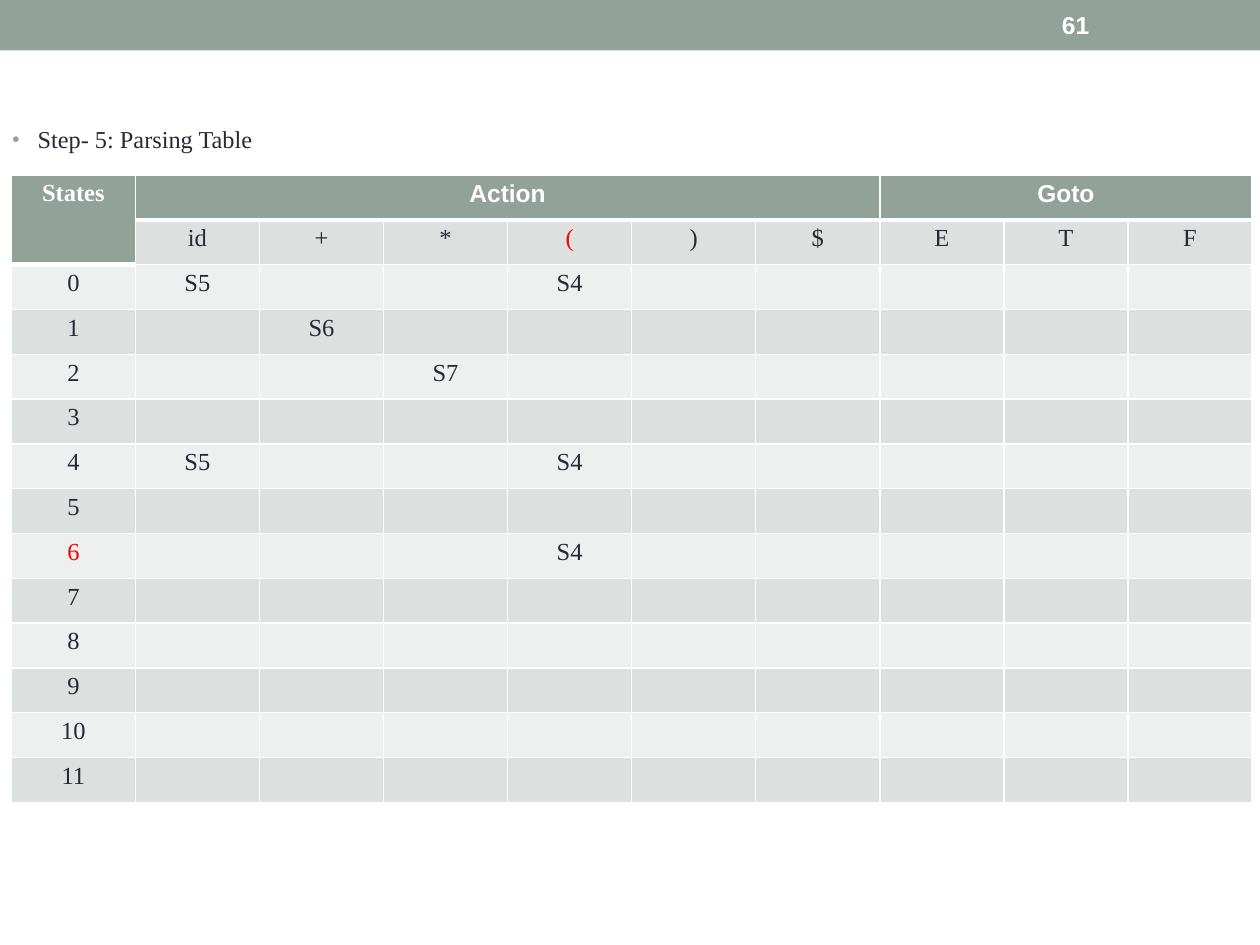
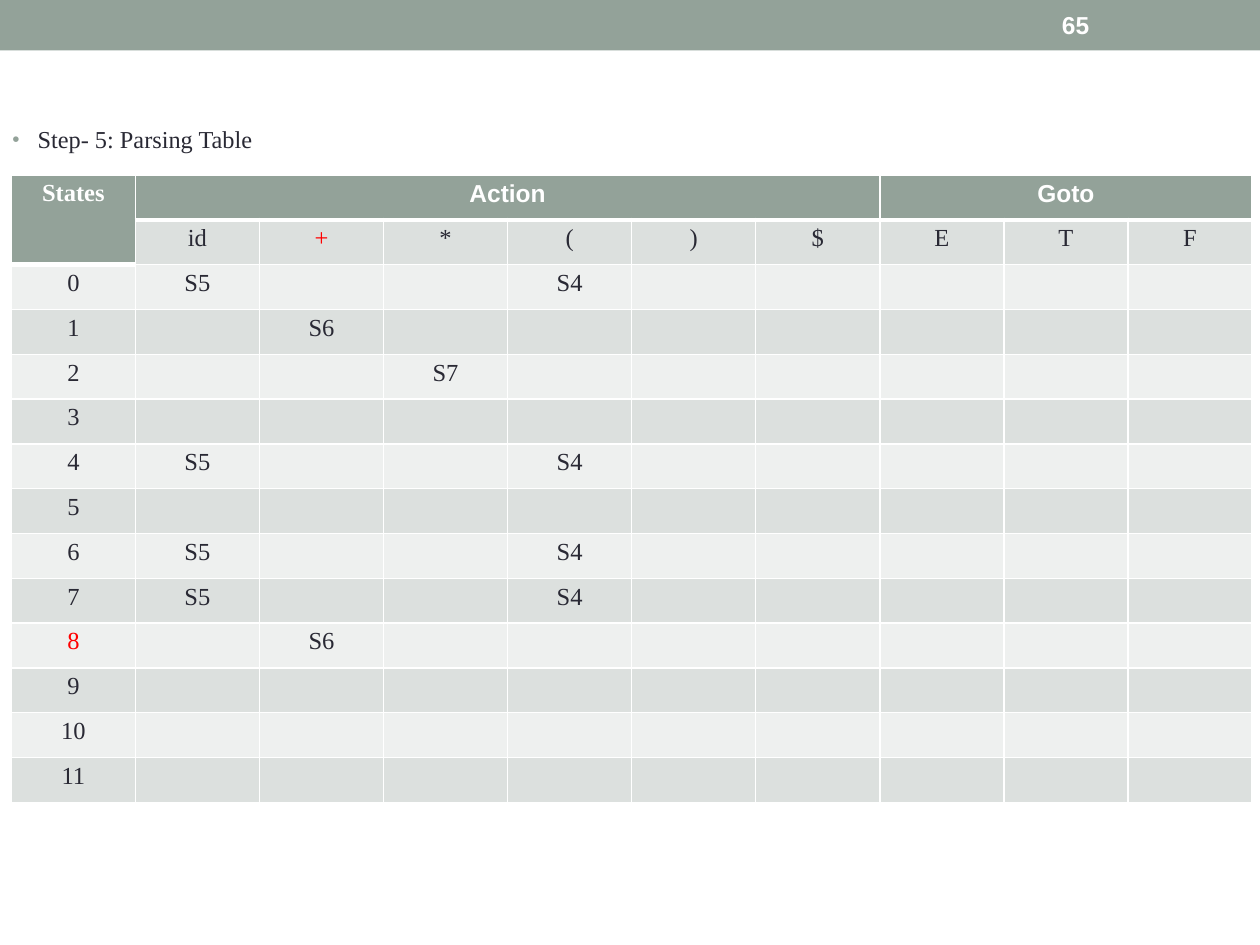
"""Builds two slides that show successive stages of a parsing table."""
import pptx
import pptx.dml.color
import pptx.enum.shapes
import pptx.enum.text
import pptx.oxml
import pptx.oxml.ns
import pptx.util

Inches = pptx.util.Inches
Pt = pptx.util.Pt
RGBColor = pptx.dml.color.RGBColor

SAGE = RGBColor(0x93, 0xA2, 0x99)
WHITE = RGBColor(0xFF, 0xFF, 0xFF)
INK = RGBColor(0x29, 0x29, 0x34)
RED = RGBColor(0xFF, 0x00, 0x00)
DARK_BAND = RGBColor(0xDC, 0xE0, 0xDE)
LIGHT_BAND = RGBColor(0xEE, 0xF0, 0xEF)

SERIF = "Times New Roman"
SANS = "Arial"
SIZE = 14
STEP = "Step- 5: Parsing Table"
SYMBOLS = ["id", "+", "*", "(", ")", "$", "E", "T", "F"]
HEADINGS = {0: ("States", SERIF), 1: ("Action", SANS), 7: ("Goto", SANS)}
STATES = 12
ROWS = STATES + 2
COLS = len(SYMBOLS) + 1

FIRST_MOVES = {
    (0, "id"): "S5", (0, "("): "S4",
    (1, "+"): "S6",
    (2, "*"): "S7",
    (4, "id"): "S5", (4, "("): "S4",
    (6, "("): "S4",
}
LATER_MOVES = {
    **FIRST_MOVES,
    (6, "id"): "S5",
    (7, "id"): "S5", (7, "("): "S4",
    (8, "+"): "S6",
}


def format_runs(p, font, color, size=SIZE, bold=False):
    """Give every run of a paragraph the same look."""
    for r in p.runs:
        r.font.name = font
        r.font.size = Pt(size)
        r.font.bold = bold
        r.font.color.rgb = color


def add_xml(parent, xml):
    """Append a DrawingML fragment to an element."""
    ns = pptx.oxml.ns.nsdecls("a")
    parent.append(pptx.oxml.parse_xml(xml.replace(" ", f" {ns} ", 1)))


def add_band(s):
    """Draw the band across the top of the slide."""
    sp = s.shapes.add_shape(pptx.enum.shapes.MSO_SHAPE.RECTANGLE,
                            0, 0, Inches(10), Inches(0.4))
    sp.shadow.inherit = False
    sp.fill.solid()
    sp.fill.fore_color.rgb = SAGE
    sp.line.fill.background()


def add_text(s, text, left, top, width, height):
    """Add a wrapping text box and return its text frame."""
    box = s.shapes.add_textbox(Inches(left), Inches(top), Inches(width), Inches(height))
    tf = box.text_frame
    tf.word_wrap = True
    tf.text = text
    return tf


def add_number(s, number):
    """Write the slide number in the band."""
    tf = add_text(s, str(number), 8.33, 0.02, 1.17, 0.36)
    tf.vertical_anchor = pptx.enum.text.MSO_ANCHOR.MIDDLE
    format_runs(tf.paragraphs[0], SANS, WHITE, bold=True)


def add_step(s):
    """Write the bulleted step line above the table."""
    p = add_text(s, STEP, 0, 0.94, 2.22, 0.42).paragraphs[0]
    ppr = p._p.get_or_add_pPr()
    ppr.set("marL", str(Inches(0.2)))
    ppr.set("indent", str(-Inches(0.2)))
    add_xml(ppr, f'<a:buClr ><a:srgbClr val="{SAGE}"/></a:buClr>')
    add_xml(ppr, '<a:buSzPct val="85000"/>')
    add_xml(ppr, f'<a:buFont typeface="{SANS}"/>')
    add_xml(ppr, '<a:buChar char="•"/>')
    format_runs(p, SERIF, INK, size=13.9)


def set_borders(cell, top, bottom):
    """Draw white borders, one point wide at the sides."""
    for side, width in {"L": 1, "R": 1, "T": top, "B": bottom}.items():
        add_xml(cell._tc.get_or_add_tcPr(),
                f'<a:ln{side} w="{Pt(width)}"><a:solidFill>'
                f'<a:srgbClr val="{WHITE}"/></a:solidFill></a:ln{side}>')


def fill_cell(cell, text, font, color, fill, bold):
    """Set the text, margins and fill of one cell."""
    cell.margin_left = cell.margin_right = Inches(0.07)
    cell.margin_top = cell.margin_bottom = Inches(0.04)
    cell.fill.solid()
    cell.fill.fore_color.rgb = fill
    p = cell.text_frame.paragraphs[0]
    p.text = text
    p.alignment = pptx.enum.text.PP_ALIGN.CENTER
    format_runs(p, font, color, bold=bold)
    p._p.get_or_add_endParaRPr().set("sz", str(SIZE * 100))


def body_text(row, col, moves):
    """Return the text of a cell below the headings."""
    if row == 1:
        return SYMBOLS[col - 1]
    if col == 0:
        return str(row - 2)
    return moves.get((row - 2, SYMBOLS[col - 1]), "")


def add_parsing_table(s, moves, state, symbol):
    """Add the table, with the current state and symbol in red."""
    table = s.shapes.add_table(ROWS, COLS, Inches(0.09), Inches(1.39),
                               Inches(9.85), Inches(4.98)).table
    for row in table.rows:
        row.height = Inches(4.98 / ROWS)
    for column in table.columns:
        column.width = Inches(9.85 / COLS)
    current = {(state + 2, 0), (1, SYMBOLS.index(symbol) + 1)}
    for row in range(ROWS):
        for col in range(COLS):
            cell = table.cell(row, col)
            heading = row == 0 or (row, col) == (1, 0)
            below_heading = row == 1 or (row, col) == (2, 0)
            set_borders(cell, 3 if below_heading else 1, 3 if heading else 1)
            if heading:
                text, font = HEADINGS.get(col, ("", SANS)) if row == 0 else ("", SERIF)
                fill_cell(cell, text, font, WHITE, SAGE, True)
            else:
                fill_cell(cell, body_text(row, col, moves), SERIF,
                          RED if (row, col) in current else INK,
                          DARK_BAND if row % 2 else LIGHT_BAND, False)
    table.cell(0, 0).merge(table.cell(1, 0))
    table.cell(0, 1).merge(table.cell(0, 6))
    table.cell(0, 7).merge(table.cell(0, 9))


def add_stage(prs, number, moves, state, symbol):
    """Add one slide with a stage of the parsing table."""
    s = prs.slides.add_slide(prs.slide_layouts[6])
    add_band(s)
    add_step(s)
    add_number(s, number)
    add_parsing_table(s, moves, state, symbol)


def main():
    """Build and save the presentation."""
    prs = pptx.Presentation()
    prs.slide_width = Inches(10)
    prs.slide_height = Inches(7.5)
    add_stage(prs, 61, FIRST_MOVES, 6, "(")
    add_stage(prs, 65, LATER_MOVES, 8, "+")
    prs.save("out.pptx")


if __name__ == "__main__":
    main()
